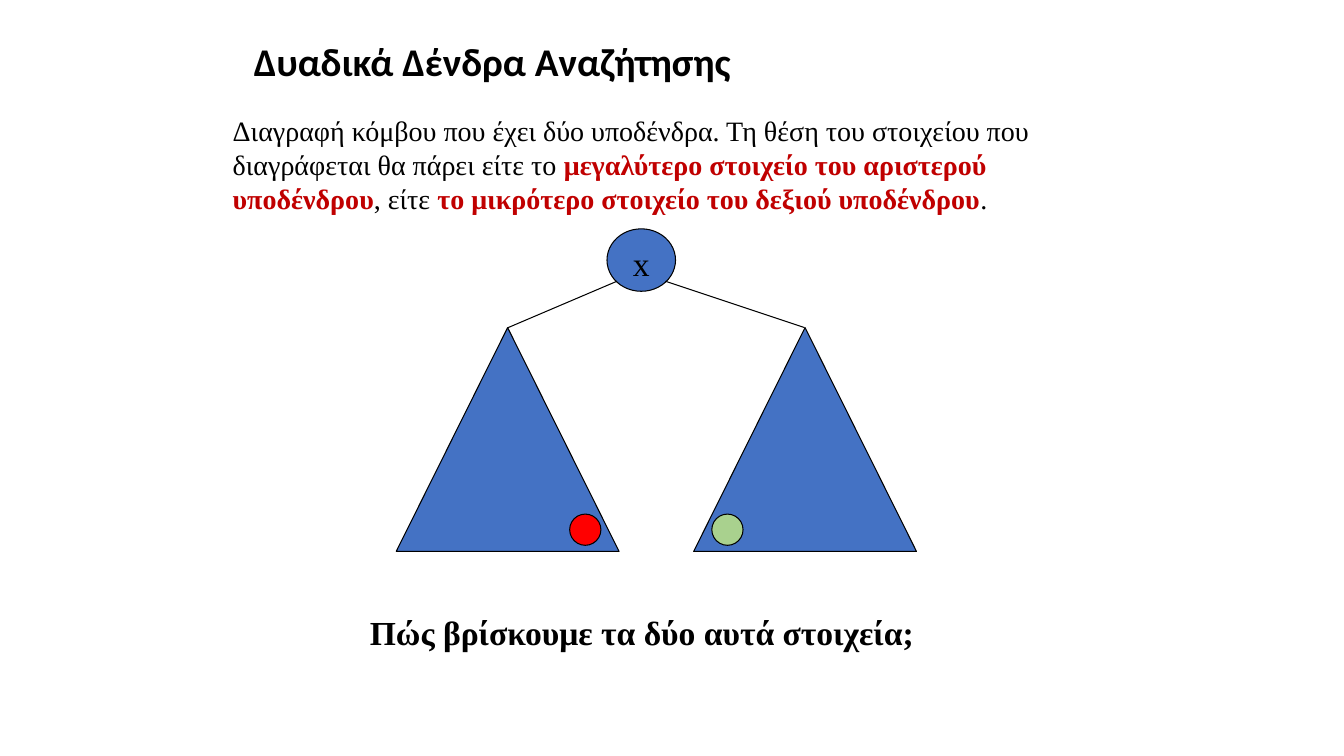
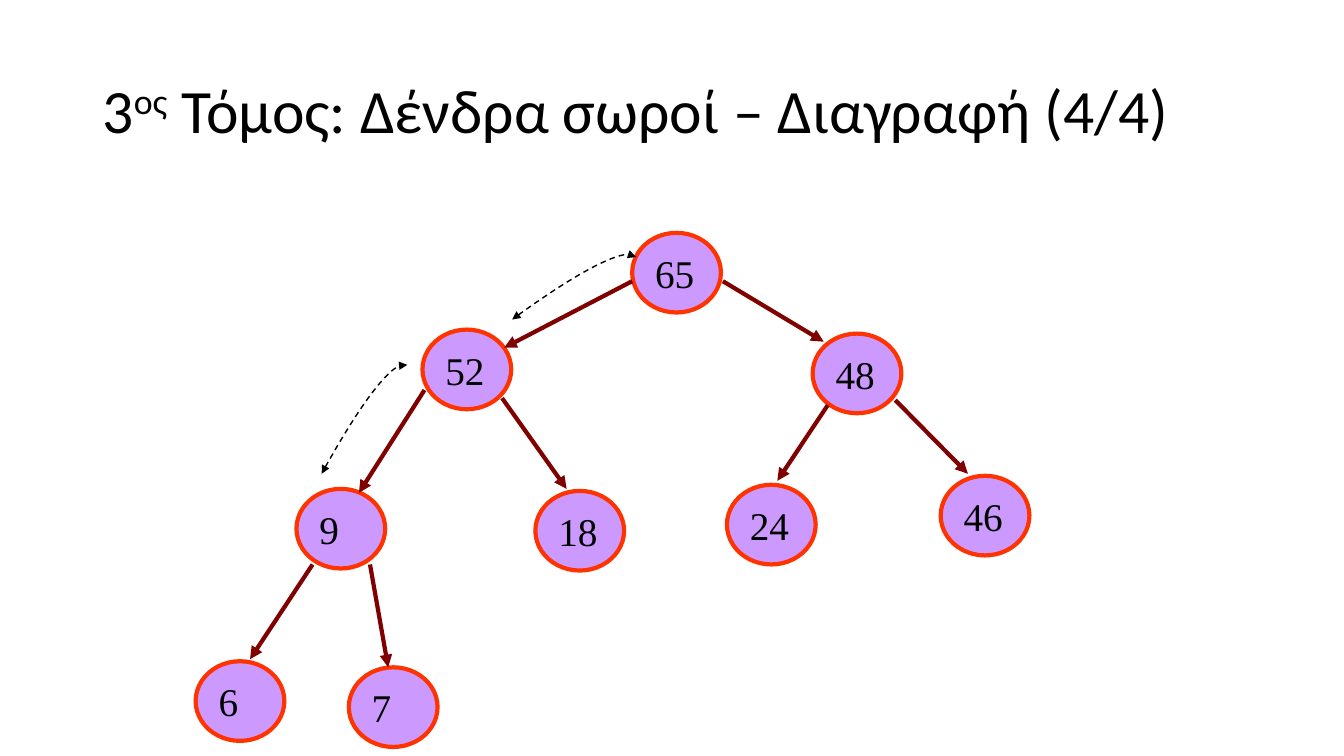
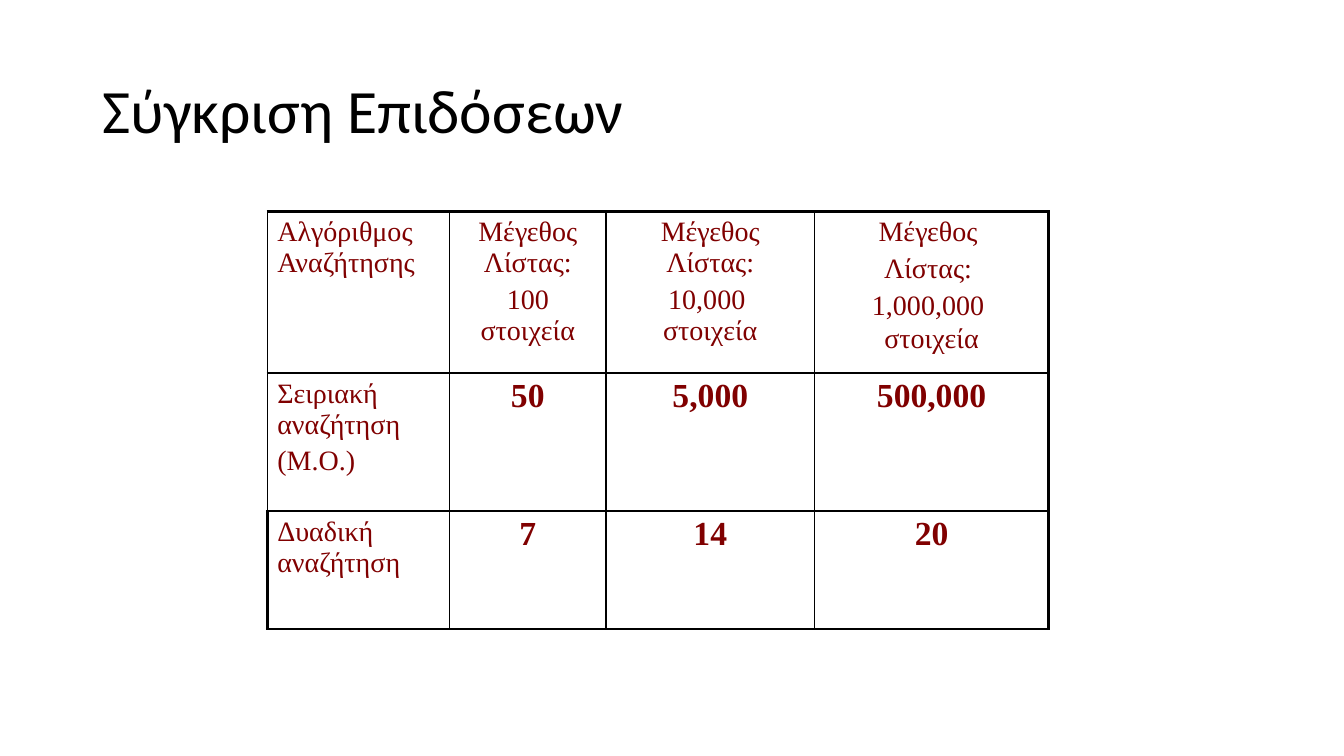
from dataclasses import dataclass

from lxml.etree import SubElement
from pptx import Presentation
from pptx.dml.color import RGBColor
from pptx.enum.dml import MSO_LINE
from pptx.enum.shapes import MSO_CONNECTOR, MSO_SHAPE
from pptx.enum.text import MSO_ANCHOR, PP_ALIGN
from pptx.oxml.ns import qn
from pptx.util import Inches, Pt


@dataclass(frozen=True)
class Theme:
    """Hold the colours, fonts and type sizes of the deck."""

    black: str = "000000"
    blue: str = "4472C4"
    crimson: str = "C00000"
    red: str = "FF0000"
    green: str = "A9D18E"
    violet: str = "CC99FF"
    orange: str = "FF3300"
    maroon: str = "800000"
    heading: str = "Calibri"
    body: str = "Times New Roman"
    title: int = 44
    subtitle: int = 28
    large: int = 24
    normal: int = 20
    thin: float = 0.75
    border: float = 1
    frame: float = 2.25
    thick: float = 3


THEME = Theme()
TITLE_AREA = (0.92, 0.4, 11.5, 1.45)
NODE_SIZE = (0.88, 0.79)
LINE_BREAK = "\n"


def rgb(code):
    """Turn a hex code into a colour."""
    return RGBColor.from_string(code)


def add_span(para, text, size, color=THEME.black, bold=False, font=THEME.body, baseline=0):
    """Append one formatted run to a paragraph."""
    if text == LINE_BREAK:
        para.add_line_break()
        return
    span = para.add_run()
    span.text = text
    span.font.name = font
    span.font.size = Pt(size)
    span.font.bold = bold
    span.font.color.rgb = rgb(color)
    if baseline:
        span.font._element.set("baseline", str(baseline * 1000))


def add_text(page, area, spans, wrap=True, anchor=MSO_ANCHOR.TOP):
    """Add a text box with one paragraph and return the paragraph."""
    box = page.shapes.add_textbox(*map(Inches, area))
    box.text_frame.word_wrap = wrap
    box.text_frame.vertical_anchor = anchor
    para = box.text_frame.paragraphs[0]
    for text, options in spans:
        add_span(para, text, **options)
    return para


def add_title(page, spans, area=TITLE_AREA, size=THEME.title, bold=False):
    """Add the slide title from pairs of text and baseline shift."""
    style = dict(size=size, bold=bold, font=THEME.heading)
    runs = [(text, dict(style, baseline=baseline)) for text, baseline in spans]
    add_text(page, area, runs, anchor=MSO_ANCHOR.MIDDLE).line_spacing = 0.9


def add_figure(page, kind, area, fill, line=THEME.black, width=THEME.thin):
    """Add a filled and outlined preset shape."""
    figure = page.shapes.add_shape(kind, *map(Inches, area))
    figure.shadow.inherit = False
    figure.fill.solid()
    figure.fill.fore_color.rgb = rgb(fill)
    figure.line.color.rgb = rgb(line)
    figure.line.width = Pt(width)
    return figure


def label_figure(figure, text, size, align, anchor):
    """Write one run of text inside a shape."""
    frame = figure.text_frame
    frame.word_wrap = True
    frame.vertical_anchor = anchor
    para = frame.paragraphs[0]
    para.alignment = align
    add_span(para, text, size)


def add_arrowheads(shape, *ends):
    """Put triangle arrowheads on the named ends of a line."""
    outline = shape._element.spPr.find(qn("a:ln"))
    for end in ends:
        SubElement(outline, qn(f"a:{end}")).set("type", "triangle")


def add_line(page, start, finish, color=THEME.black, width=THEME.thin):
    """Add a straight connector without shadow."""
    line = page.shapes.add_connector(MSO_CONNECTOR.STRAIGHT, *map(Inches, start + finish))
    line.line.color.rgb = rgb(color)
    line.line.width = Pt(width)
    SubElement(line._element.spPr, qn("a:effectLst"))
    return line


def curve_point(controls, t):
    """Return the point at t on a cubic Bézier curve."""
    weights = ((1 - t) ** 3, 3 * t * (1 - t) ** 2, 3 * t**2 * (1 - t), t**3)
    return tuple(
        Inches(sum(weight * point[axis] for weight, point in zip(weights, controls)))
        for axis in (0, 1)
    )


def add_dashed_curve(page, controls, steps=24):
    """Add a dashed curve with arrowheads on both ends."""
    first, *others = [curve_point(controls, step / steps) for step in range(steps + 1)]
    builder = page.shapes.build_freeform(*first)
    builder.add_line_segments(others, close=False)
    curve = builder.convert_to_shape()
    curve.shadow.inherit = False
    curve.fill.background()
    curve.line.color.rgb = rgb(THEME.black)
    curve.line.width = Pt(THEME.border)
    curve.line.dash_style = MSO_LINE.DASH
    add_arrowheads(curve, "headEnd", "tailEnd")


def set_border(cell, side, width):
    """Draw one border of a table cell."""
    border = SubElement(cell._tc.get_or_add_tcPr(), qn(f"a:{side}"), w=str(Pt(width)))
    fill = SubElement(border, qn("a:solidFill"))
    SubElement(fill, qn("a:srgbClr"), val=THEME.black)


def fill_cell(cell, paragraphs, size, bold, align):
    """Write paragraphs, each a pair of runs and space before, into a cell."""
    frame = cell.text_frame
    for index, (spans, space) in enumerate(paragraphs):
        para = frame.add_paragraph() if index else frame.paragraphs[0]
        para.alignment = align
        para.space_before = Pt(space if index else 0)
        for text in spans:
            add_span(para, text, size, THEME.maroon, bold)


def add_grid(page, corner, widths, heights, rows):
    """Add a table with a heavy frame and thin inner borders."""
    area = (*corner, sum(widths), sum(heights))
    table = page.shapes.add_table(len(rows), len(widths), *map(Inches, area)).table
    table.first_row = table.horz_banding = False
    for column, width in zip(table.columns, widths):
        column.width = Inches(width)
    last_row, last_column = len(rows) - 1, len(widths) - 1
    for r, row in enumerate(rows):
        table.rows[r].height = Inches(heights[r])
        for c, paragraphs in enumerate(row):
            cell = table.cell(r, c)
            is_value = r > 0 and c > 0
            heavy = {
                "lnL": c == 0 and r == last_row,
                "lnR": c == last_column,
                "lnT": r == 0,
                "lnB": r == last_row,
            }
            for side, is_heavy in heavy.items():
                set_border(cell, side, THEME.frame if is_heavy else THEME.border)
            cell.fill.background()
            fill_cell(
                cell,
                paragraphs,
                THEME.large if is_value else THEME.normal,
                is_value,
                PP_ALIGN.CENTER if c else PP_ALIGN.LEFT,
            )


def lines(*texts):
    """Make cell paragraphs of one run each."""
    return [([text], 4) for text in texts]


def build_deletion(page):
    """Build the slide on deleting a node with two subtrees."""
    add_title(page, [("Δυαδικά Δένδρα Αναζήτησης", 0)], (2.42, 0.36, 8.5, 0.55), THEME.subtitle, True)
    plain = dict(size=THEME.normal)
    strong = dict(size=THEME.normal, color=THEME.crimson, bold=True)
    add_text(page, (2.21, 1.08, 9.06, 1.11), [
        ("Διαγραφή κόμβου που έχει δύο υποδένδρα. Τη θέση του στοιχείου που "
         "διαγράφεται θα πάρει είτε το ", plain),
        ("μεγαλύτερο στοιχείο του αριστερού υποδένδρου", strong),
        (", είτε ", plain),
        ("το μικρότερο στοιχείο του δεξιού υποδένδρου", strong),
        (".", plain),
    ])
    root = add_figure(page, MSO_SHAPE.OVAL, (6.02, 2.27, 0.68, 0.62), THEME.blue)
    label_figure(root, "x", THEME.large, PP_ALIGN.CENTER, MSO_ANCHOR.TOP)
    subtrees = (
        (3.93, 5.65, THEME.red, (6.12, 2.79), (5.04, 3.25)),
        (6.88, 7.06, THEME.green, (6.6, 2.79), (7.98, 3.25)),
    )
    for left, marker_left, marker_color, start, apex in subtrees:
        add_figure(page, MSO_SHAPE.ISOSCELES_TRIANGLE, (left, 3.25, 2.21, 2.22), THEME.blue)
        add_figure(page, MSO_SHAPE.OVAL, (marker_left, 5.1, 0.31, 0.31), marker_color)
        add_line(page, start, apex)
    question = dict(size=THEME.large, bold=True)
    add_text(page, (3.57, 6.02, 5.66, 0.51), [("Πώς βρίσκουμε τα δύο αυτά στοιχεία;", question)], wrap=False)


def build_heap(page):
    """Build the slide with the heap after deletion."""
    add_title(page, [("3", 0), ("ος", 30), (" Τόμος: Δένδρα σωροί – Διαγραφή (4/4)", 0)])
    nodes = {
        "65": (6.27, 2.31), "52": (4.19, 3.27), "48": (8.06, 3.31),
        "9": (2.94, 4.85), "18": (5.31, 4.87), "24": (7.21, 4.81),
        "46": (9.33, 4.72), "6": (1.94, 6.56), "7": (3.46, 6.62),
    }
    edges = (
        ((6.27, 2.79), (5, 3.45)), ((7.17, 2.79), (8.17, 3.39)),
        ((4.21, 3.87), (3.56, 4.89)), ((4.98, 3.95), (5.62, 4.85)),
        ((8.21, 4.02), (7.71, 4.77)), ((8.88, 3.97), (9.6, 4.7)),
        ((3.1, 5.6), (2.48, 6.54)), ((3.67, 5.6), (3.85, 6.62)),
    )
    swaps = (
        ((5.08, 3.17), (5.75, 2.68), (6.22, 2.44), (6.31, 2.55)),
        ((3.19, 4.7), (3.59, 3.97), (3.91, 3.56), (4.04, 3.62)),
    )
    for value, corner in nodes.items():
        node = add_figure(page, MSO_SHAPE.OVAL, corner + NODE_SIZE, THEME.violet, THEME.orange, THEME.thick)
        label_figure(node, value, THEME.subtitle, PP_ALIGN.LEFT, MSO_ANCHOR.MIDDLE)
    for start, finish in edges:
        add_arrowheads(add_line(page, start, finish, THEME.maroon, THEME.thick), "tailEnd")
    for controls in swaps:
        add_dashed_curve(page, controls)


def build_comparison(page):
    """Build the slide comparing the search algorithms."""
    add_title(page, [("Σύγκριση Επιδόσεων", 0)])
    rows = (
        (
            lines("Αλγόριθμος Αναζήτησης"),
            lines("Μέγεθος Λίστας:", "100 στοιχεία"),
            [(["Μέγεθος Λίστας:"], 0), (["10,000 ", LINE_BREAK, "στοιχεία"], 4)],
            lines("Μέγεθος ", "Λίστας: ", "1,000,000 ") + [(["στοιχεία"], 2)],
        ),
        (lines("Σειριακή αναζήτηση", "(Μ.Ο.)"), lines("50"), lines("5,000"), lines("500,000")),
        (lines("Δυαδική αναζήτηση"), lines("7"), lines("14"), lines("20")),
    )
    add_grid(page, (2.65, 2.1), (1.81, 1.55, 2.07, 2.32), (1.6, 1.37, 1.17), rows)


def main():
    """Build and save the deck."""
    deck = Presentation()
    deck.slide_width, deck.slide_height = Inches(13.33), Inches(7.5)
    for build in (build_deletion, build_heap, build_comparison):
        build(deck.slides.add_slide(deck.slide_layouts[6]))
    deck.save("out.pptx")


if __name__ == "__main__":
    main()
